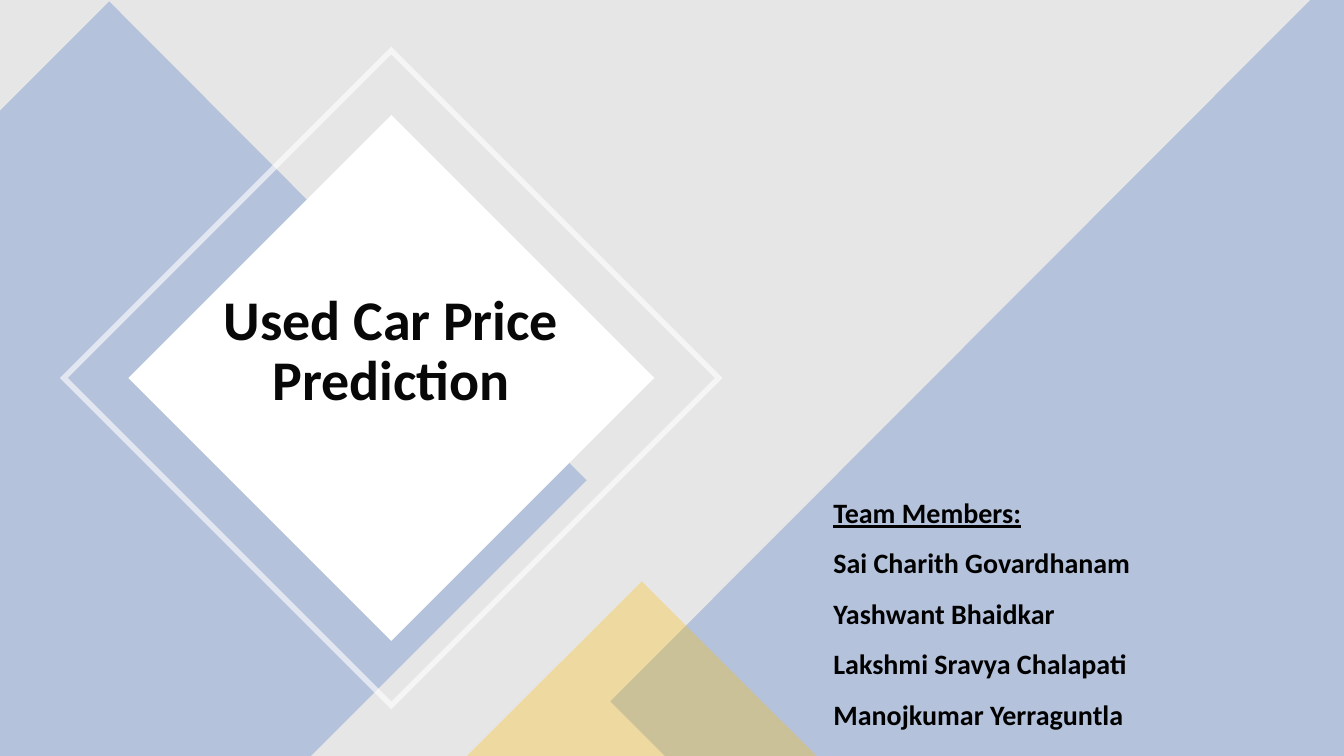
from dataclasses import dataclass

from lxml import etree
from pptx import Presentation
from pptx.dml.color import RGBColor
from pptx.enum.shapes import MSO_SHAPE
from pptx.enum.text import MSO_ANCHOR, PP_ALIGN
from pptx.oxml.ns import qn
from pptx.util import Pt

RECTANGLE, TRIANGLE, FRAME = MSO_SHAPE.RECTANGLE, MSO_SHAPE.ISOSCELES_TRIANGLE, MSO_SHAPE.FRAME
TOP, MIDDLE = MSO_ANCHOR.TOP, MSO_ANCHOR.MIDDLE
LEFT, CENTER = PP_ALIGN.LEFT, PP_ALIGN.CENTER
WIDTH, HEIGHT = 960, 540


@dataclass(frozen=True)
class Theme:
    font: str = "Calibri"
    backdrop: str = "E7E6E6"
    panel: str = "4472C4"
    accent: str = "FFC000"
    white: str = "FFFFFF"
    title_ink: str = "080808"
    body_ink: str = "000000"
    title_size: int = 40
    body_size: int = 20


class SlideBuilder:
    """Draws styled elements on one slide; all lengths are in points."""

    def __init__(self, slide, theme):
        self.shapes = slide.shapes
        self.theme = theme

    def paint(self, shape, color, opacity):
        shape.shadow.inherit = False
        shape.line.fill.background()
        shape.fill.solid()
        shape.fill.fore_color.rgb = RGBColor.from_string(color)
        if opacity < 100:
            srgb = shape.fill._xPr.find(qn("a:solidFill")).find(qn("a:srgbClr"))
            etree.SubElement(srgb, qn("a:alpha"), val=str(opacity * 1000))
        return shape

    def preset(self, kind, left, top, width, height, color, opacity=100):
        shape = self.shapes.add_shape(kind, Pt(left), Pt(top), Pt(width), Pt(height))
        return self.paint(shape, color, opacity)

    def diamond(self, kind, center, side, color, opacity=100):
        x, y = center
        shape = self.preset(kind, x - side / 2, y - side / 2, side, side, color, opacity)
        shape.rotation = 45
        return shape

    def polygon(self, points, color, opacity=100):
        outline = self.shapes.build_freeform(*points[0], scale=Pt(1))
        outline.add_line_segments(points[1:], close=True)
        return self.paint(outline.convert_to_shape(), color, opacity)

    def text(self, box, lines, size, color, align=LEFT, anchor=TOP, spacing=1.0):
        frame = self.shapes.add_textbox(*map(Pt, box)).text_frame
        frame.word_wrap = True
        frame.vertical_anchor = anchor
        frame.text = "\n".join(lines)
        for paragraph in frame.paragraphs:
            paragraph.alignment = align
            paragraph.line_spacing = spacing
            for run in paragraph.runs:
                run.font.name = self.theme.font
                run.font.size = Pt(size)
                run.font.bold = True
                run.font.color.rgb = RGBColor.from_string(color)
        return frame


def main():
    deck = Presentation()
    deck.slide_width, deck.slide_height = Pt(WIDTH), Pt(HEIGHT)
    theme = Theme()
    cover = SlideBuilder(deck.slides.add_slide(deck.slide_layouts[6]), theme)

    # Backdrop and translucent panels
    cover.preset(RECTANGLE, 0, 0, WIDTH, HEIGHT, theme.backdrop)
    left_panel = [(77.6, 1.4), (419, 342.8), (221.8, HEIGHT), (0, HEIGHT), (0, 79)]
    right_panel = [(936.5, 0), (WIDTH, 0), (WIDTH, HEIGHT), (475.2, HEIGHT), (436.2, 501)]
    for panel in (left_panel, right_panel):
        cover.polygon(panel, theme.panel, opacity=30)
    cover.preset(TRIANGLE, 333.5, 415.3, 249.8, 124.7, theme.accent, opacity=30)

    # Title diamond with its thin frame
    diamond_center = (279.5, 270)
    cover.diamond(RECTANGLE, diamond_center, 265.7, theme.white)
    title_border = cover.diamond(FRAME, diamond_center, 334.8, theme.white, opacity=60)
    title_border.adjustments[0] = 0.012

    # Title, raised by one line above the middle of its box
    title = cover.text((136.8, 220.3, 285.1, 105.8), ["Used Car Price Prediction"],
                       theme.title_size, theme.title_ink, CENTER, MIDDLE, 0.9)
    title.margin_bottom = Pt(46.8)

    # Team list
    team = cover.text((588.2, 338.4, 328.3, 185.8),
                      ["Team Members:", "Sai Charith Govardhanam", "Yashwant Bhaidkar",
                       "Lakshmi Sravya Chalapati", "Manojkumar Yerraguntla"],
                      theme.body_size, theme.body_ink, spacing=1.5)
    team.paragraphs[0].runs[0].font.underline = True

    deck.save("out.pptx")


if __name__ == "__main__":
    main()
